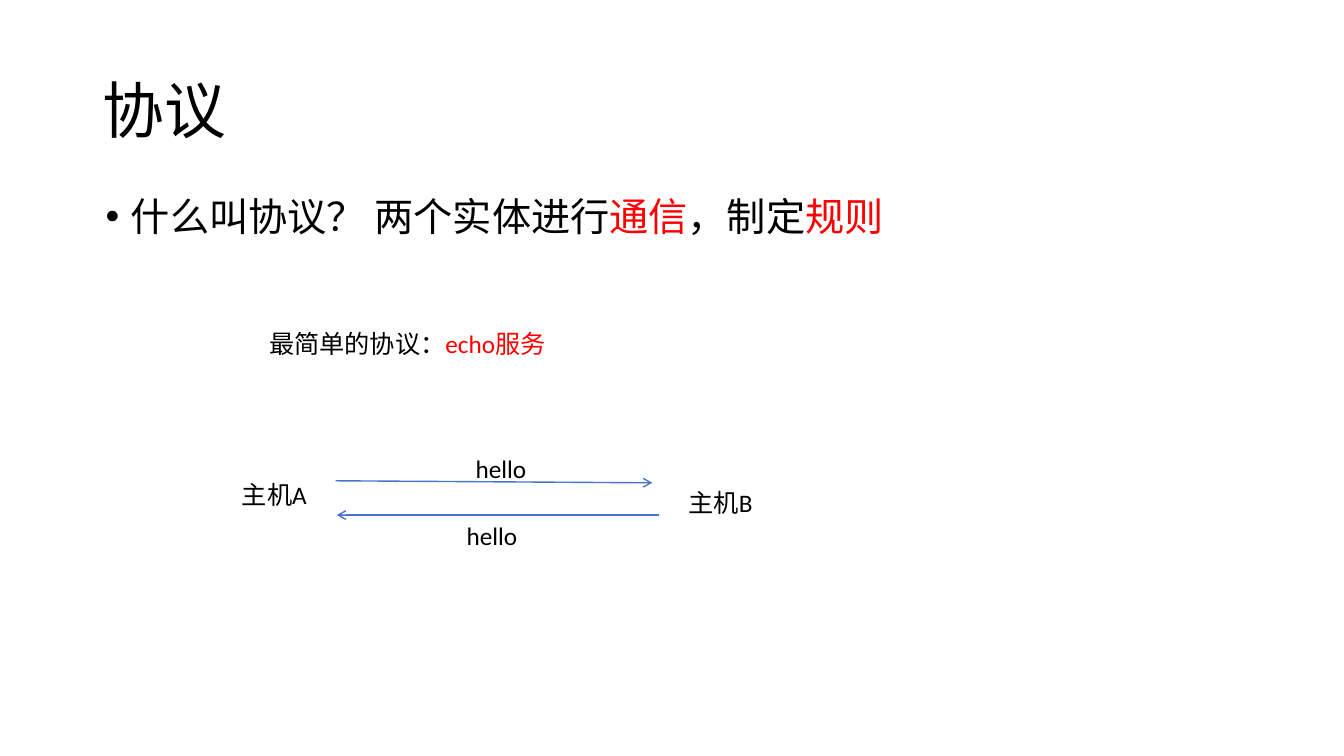
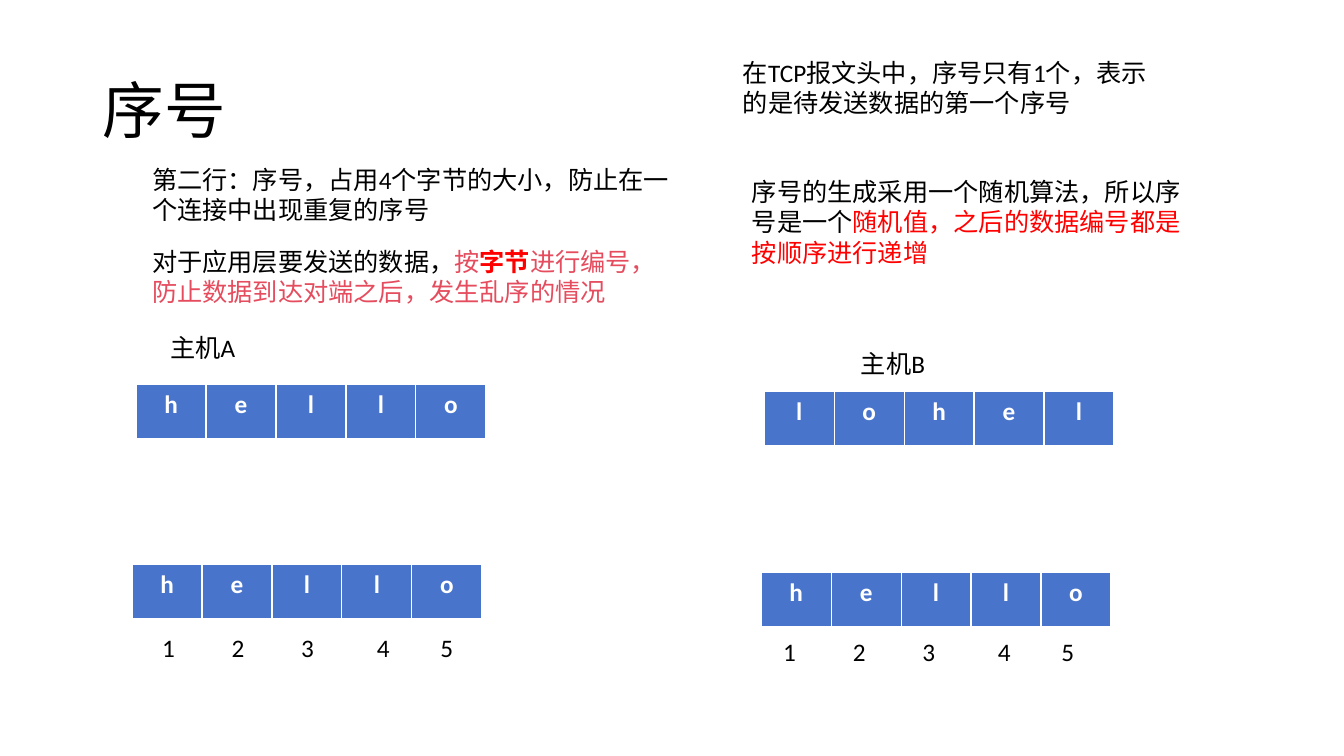
from lxml import etree
from pptx import Presentation
from pptx.dml.color import RGBColor
from pptx.enum import shapes, text
from pptx.oxml import ns
from pptx.util import Inches, Pt

COLORS = {"text": "000000", "key": "FF0000", "soft": "E54C5E",
          "cell": "4874CB", "letter": "FFFFFF"}
FONT = "Calibri"
DIGIT_STOPS = (0.69, 1.38, 2.13, 2.76)


def add_text(page, left, top, width, height, *spans, size=18, bullet=False, stops=()):
    """Add one paragraph; each span is (words, colour name[, bold])."""
    box = page.shapes.add_textbox(Inches(left), Inches(top), Inches(width), Inches(height))
    box.text_frame.word_wrap = True
    para = box.text_frame.paragraphs[0]
    properties = para._p.get_or_add_pPr()
    if bullet:
        para.line_spacing = 0.9
        properties.set("marL", str(Inches(0.25)))
        properties.set("indent", str(Inches(-0.25)))
        etree.SubElement(properties, ns.qn("a:buFont"), typeface="Arial")
        etree.SubElement(properties, ns.qn("a:buChar"), char="•")
    if stops:
        tabs = etree.SubElement(properties, ns.qn("a:tabLst"))
        for stop in stops:
            etree.SubElement(tabs, ns.qn("a:tab"), pos=str(Inches(stop)), algn="l")
    para.font.name = FONT
    para.font.size = Pt(size)
    for words, color, *bold in spans:
        span = para.add_run()
        span.text = words
        span.font.color.rgb = RGBColor.from_string(COLORS[color])
        if bold:
            span.font.bold = bold[0]


deck = Presentation()
deck.slide_width = Inches(13.33)
deck.slide_height = Inches(7.5)

pages = []
for heading in ("协议", "序号"):
    page = deck.slides.add_slide(deck.slide_layouts[5])
    title = page.shapes.title
    title.left, title.top = Inches(0.92), Inches(0.4)
    title.width, title.height = Inches(11.5), Inches(1.45)
    title.text_frame.text = heading
    title.text_frame.vertical_anchor = text.MSO_ANCHOR.MIDDLE
    para = title.text_frame.paragraphs[0]
    para.alignment = text.PP_ALIGN.LEFT
    para.line_spacing = 0.9
    para.font.name = FONT
    para.font.size = Pt(44)
    para.font.color.rgb = RGBColor.from_string(COLORS["text"])
    pages.append(page)
protocol, sequence = pages

# Protocol: two hosts exchange an echo
add_text(protocol, 0.95, 1.91, 11.5, 4.76,
         ("什么叫协议？ 两个实体进行", "text"), ("通信", "key"),
         ("，制定", "text"), ("规则", "key"), size=28, bullet=True)
add_text(protocol, 2.57, 3.21, 2.94, 0.4,
         ("最简单的协议：", "text"), ("echo服务", "key"))
for label, left, top, width in (("主机A", 2.3, 4.71, 1.48), ("主机B", 6.73, 4.79, 1.48),
                                ("hello", 4.62, 4.45, 1.54), ("hello", 4.53, 5.11, 1.02)):
    add_text(protocol, left, top, width, 0.4, (label, "text"))
for ends in ((3.33, 4.77, 6.47, 4.79), (6.54, 5.11, 3.34, 5.11)):
    arrow = protocol.shapes.add_connector(shapes.MSO_CONNECTOR.STRAIGHT, *map(Inches, ends))
    arrow.line.color.rgb = RGBColor.from_string(COLORS["cell"])
    arrow.line.width = Pt(1)
    etree.SubElement(arrow.line._get_or_add_ln(), ns.qn("a:tailEnd"), type="arrow")
    etree.SubElement(arrow._element.spPr, ns.qn("a:effectLst"))

# Sequence numbers: bytes sent by A, received and reordered by B
add_text(sequence, 1.41, 1.58, 5.41, 0.71,
         ("第二行：序号，占用4个字节的大小，防止在一个连接中出现重复的序号", "text"))
add_text(sequence, 1.41, 2.39, 4.99, 0.71,
         ("对于应用层要发送的数据，", "text"), ("按", "soft"), ("字节", "key", True),
         ("进行编号，防止数据到达对端之后，发生乱序的情况", "soft"))
add_text(sequence, 7.27, 0.52, 4.43, 0.71,
         ("在TCP报文头中，序号只有1个，表示的是待发送数据的第一个序号", "text"))
add_text(sequence, 7.36, 1.7, 4.64, 1.01,
         ("序号的生成采用一个随机算法，所以序号是一个", "text"),
         ("随机值，之后的数据编号都是按顺序进行递增", "key"))
add_text(sequence, 1.59, 3.25, 2.06, 0.4, ("主机A", "text"))
add_text(sequence, 8.44, 3.41, 2.22, 0.4, ("主机B", "text"))

for letters, left, top in (("hello", 1.35, 3.81), ("lohel", 7.58, 3.88),
                           ("hello", 1.31, 5.6), ("hello", 7.55, 5.68)):
    table = sequence.shapes.add_table(1, len(letters), Inches(left), Inches(top),
                                      Inches(3.47), Inches(0.54)).table
    for cell, letter in zip(table.rows[0].cells, letters):
        cell.fill.solid()
        cell.fill.fore_color.rgb = RGBColor.from_string(COLORS["cell"])
        cell.text = letter
        para = cell.text_frame.paragraphs[0]
        para.alignment = text.PP_ALIGN.CENTER
        para.font.name = FONT
        para.font.size = Pt(18)
        para.font.bold = True
        para.font.color.rgb = RGBColor.from_string(COLORS["letter"])

for left, top in ((1.51, 6.22), (7.67, 6.26)):
    add_text(sequence, left, top, 3.37, 0.4, ("1\t2\t3\t4\t5", "text"), stops=DIGIT_STOPS)

deck.save("out.pptx")
